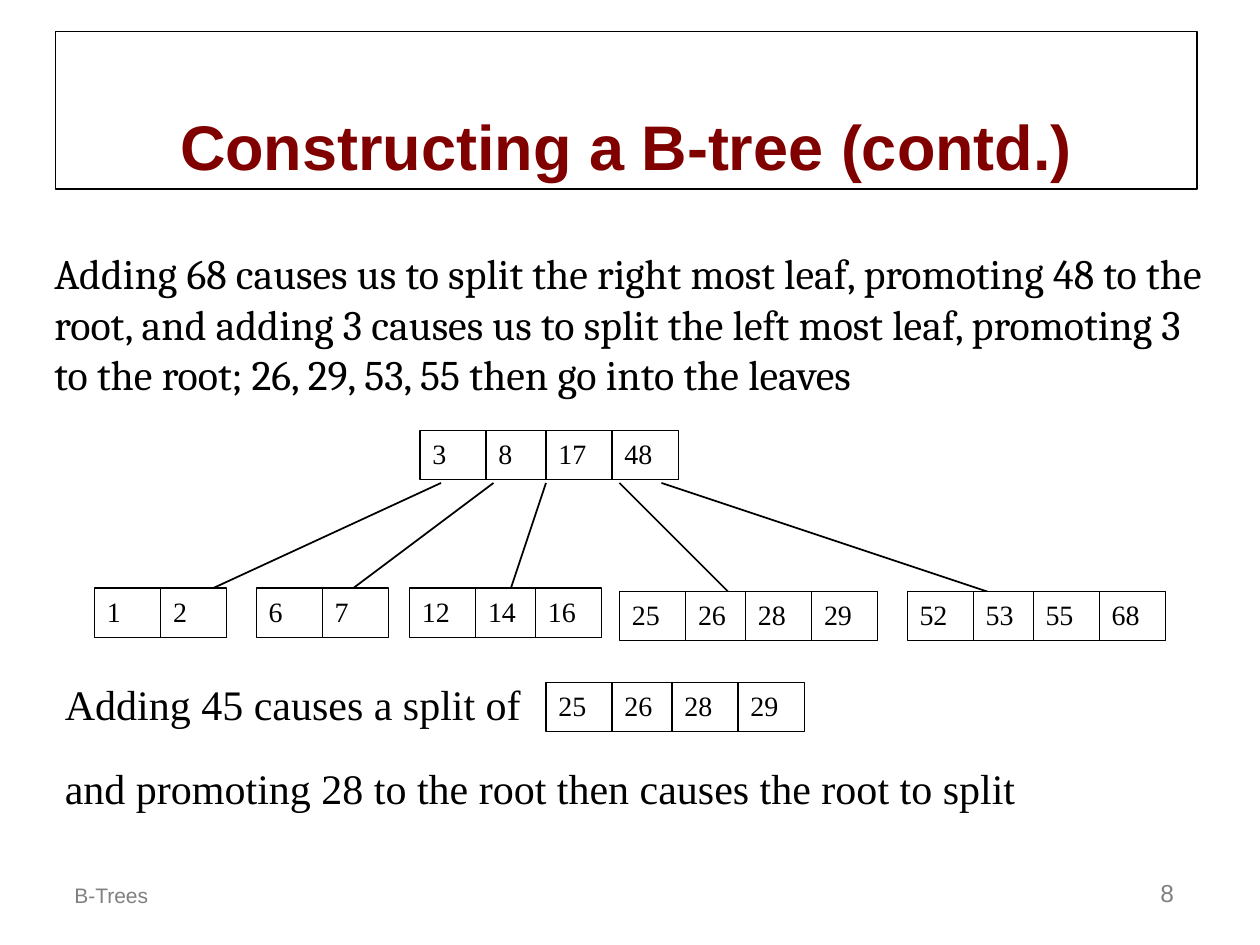
import pptx
import pptx.util
import pptx.dml.color
import pptx.enum.text
import pptx.enum.shapes
import pptx.oxml.ns
import lxml.etree

# Content; places are columns and rows of a grid of 1/12 inch
TITLE = ("Constructing a B-tree (contd.)", (5.3, 3, 108.7, 15))
INTRO = ("Adding 68 causes us to split the right most leaf, promoting 48 to the root, "
         "and adding 3 causes us to split the left most leaf, promoting 3 to the root; "
         "26, 29, 53, 55 then go into the leaves", (4, 23, 112, 15.6))
FOOTERS = [
    ("B-Trees", (5.9, 81, 36, 6), "footer"),
    ("8", (88, 81, 25, 6), "number"),
]
TREE_NODES = [  # keys, column, row
    ([3, 8, 17, 48], 40, 41),
    ([52, 53, 55, 68], 86.4, 56.3),
    ([25, 26, 28, 29], 59, 56.3),
    ([1, 2], 9, 56),
    ([6, 7], 24.4, 56),
    ([12, 14, 16], 39, 56),
]
EDGES = [(42, 16), (47, 31), (52, 48), (59, 71), (63, 99)]  # root column, leaf column
EDGE_ROWS = (46, 58)
SPLIT_TEXTS = [
    ("Adding 45 causes a split of", (5, 64, 48, 6)),
    ("and promoting 28 to the root then causes the root to split", (5, 72, 109, 6)),
]
SPLIT_NODE = ([25, 26, 28, 29], 52, 65)

# Theme
ALIGN = pptx.enum.text.PP_ALIGN
ANCHOR = pptx.enum.text.MSO_ANCHOR
BLACK, WHITE = "000000", "FFFFFF"
THEME = {
    "title": dict(name="Arial", size=36, bold=True, color="800000",
                  align=ALIGN.CENTER, anchor=ANCHOR.BOTTOM),
    "intro": dict(name="Cambria", size=24, color=BLACK),
    "body": dict(name="Times New Roman", size=24, color=BLACK),
    "key": dict(name="Times New Roman", size=16, color=BLACK),
    "footer": dict(name="Arial", size=12, color="808080", anchor=ANCHOR.BOTTOM),
    "number": dict(name="Arial", size=14, color="808080",
                   align=ALIGN.RIGHT, anchor=ANCHOR.BOTTOM),
}
BOX_LINE, EDGE_LINE = 0.75, 1

# A node's cells: pairs of keys are 12 columns apart
PAIR_PITCH, CELL_W, CELL_H = 12, 6.3, 4.7


def grid(n):
    return pptx.util.Inches(n / 12)


def rgb(value):
    return pptx.dml.color.RGBColor.from_string(value)


def set_line(sp, width):
    sp.line.color.rgb = rgb(BLACK)
    sp.line.width = pptx.util.Pt(width)


def write(sp, text, style):
    fmt = dict(THEME[style])
    tf = sp.text_frame
    tf.word_wrap = True
    tf.auto_size = pptx.enum.text.MSO_AUTO_SIZE.NONE
    tf.vertical_anchor = fmt.pop("anchor", ANCHOR.TOP)
    p = tf.paragraphs[0]
    p.alignment = fmt.pop("align", ALIGN.LEFT)
    r = p.add_run()
    r.text = str(text)
    r.font.color.rgb = rgb(fmt.pop("color"))
    fmt["size"] = pptx.util.Pt(fmt["size"])
    for attr, value in fmt.items():
        setattr(r.font, attr, value)


def add_text(shapes, text, box, style):
    write(shapes.add_textbox(*map(grid, box)), text, style)


def add_node(shapes, keys, col, row):
    for i, key in enumerate(keys):
        x = col + i // 2 * PAIR_PITCH + i % 2 * CELL_W
        sp = shapes.add_shape(pptx.enum.shapes.MSO_SHAPE.RECTANGLE,
                              *map(grid, (x, row, CELL_W, CELL_H)))
        sp.shadow.inherit = False
        sp.fill.solid()
        sp.fill.fore_color.rgb = rgb(WHITE)
        set_line(sp, BOX_LINE)
        write(sp, key, "key")


def add_edge(shapes, start, end):
    y1, y2 = EDGE_ROWS
    sp = shapes.add_connector(pptx.enum.shapes.MSO_CONNECTOR.STRAIGHT,
                              *map(grid, (start, y1, end, y2)))
    set_line(sp, EDGE_LINE)
    lxml.etree.SubElement(sp._element.spPr, pptx.oxml.ns.qn("a:effectLst"))


def main():
    prs = pptx.Presentation()
    prs.slide_width, prs.slide_height = grid(120), grid(90)
    s = prs.slides.add_slide(prs.slide_layouts[5])

    # Title
    text, box = TITLE
    sp = s.shapes.title
    sp.left, sp.top, sp.width, sp.height = map(grid, box)
    set_line(sp, BOX_LINE)
    write(sp, text, "title")

    # Footer and introduction
    for text, box, style in FOOTERS:
        add_text(s.shapes, text, box, style)
    add_text(s.shapes, *INTRO, "intro")

    # Tree: edges lie behind the nodes
    for start, end in EDGES:
        add_edge(s.shapes, start, end)
    for node in TREE_NODES:
        add_node(s.shapes, *node)

    # Next split, as one group
    group = s.shapes.add_group_shape()
    for text, box in SPLIT_TEXTS:
        add_text(group.shapes, text, box, "body")
    add_node(group.shapes, *SPLIT_NODE)

    prs.save("out.pptx")


if __name__ == "__main__":
    main()
